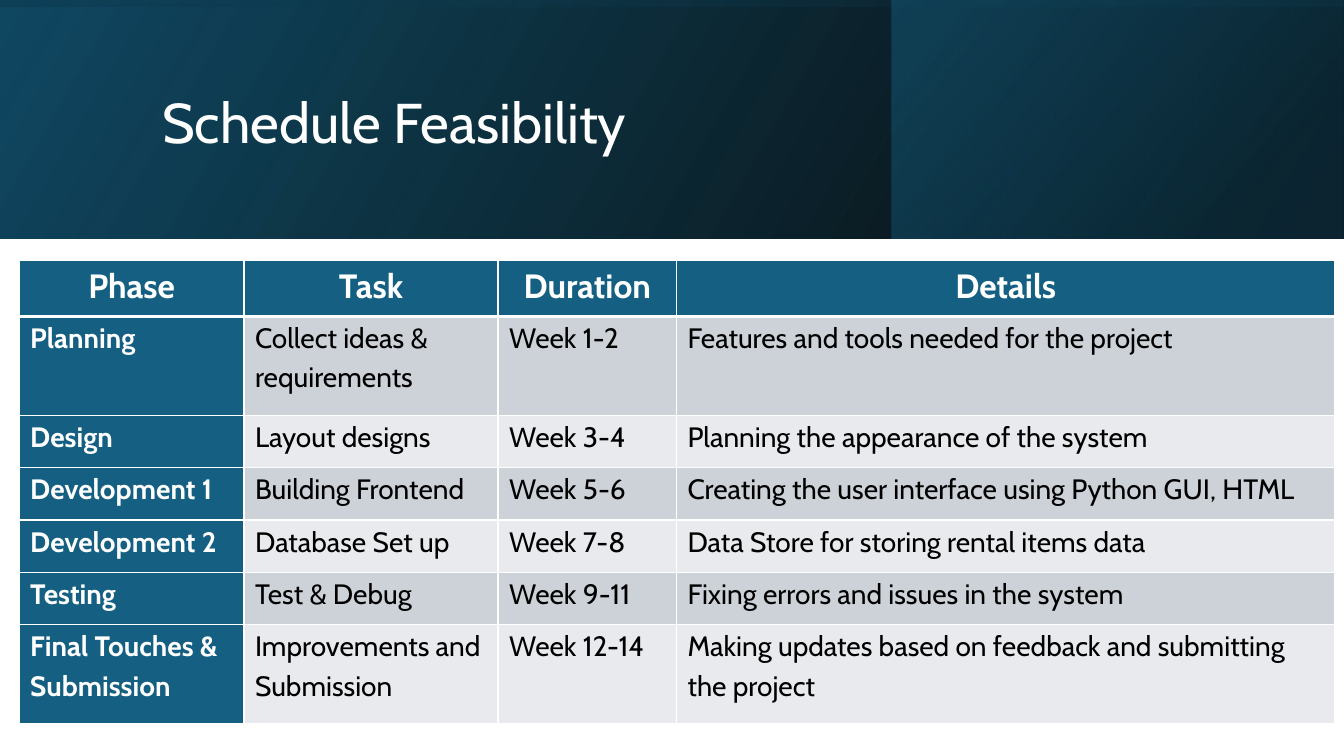
from lxml import etree
from pptx import Presentation
from pptx.dml.color import RGBColor
from pptx.enum.shapes import MSO_SHAPE
from pptx.enum.text import MSO_ANCHOR, PP_ALIGN
from pptx.oxml.ns import qn
from pptx.util import Inches, Pt

RECTANGLE = MSO_SHAPE.RECTANGLE
MIDDLE = MSO_ANCHOR.MIDDLE
LEFT, CENTER = PP_ALIGN.LEFT, PP_ALIGN.CENTER

PAGE_WIDTH, PAGE_HEIGHT = 13.33, 7.5
BANNER_HEIGHT = 2.37
FONT = "Cabin"
WHITE, BLACK, TEAL = "FFFFFF", "000000", "156082"
BANDS = ("CCD2D8", "E8EAED")

COLUMN_WIDTHS = (2.23, 2.52, 1.77, 6.53)
ROW_HEIGHTS = (0.56, 0.98, 0.52, 0.52, 0.52, 0.52, 0.98)
SCHEDULE = (
    ("Phase", "Task", "Duration", "Details"),
    ("Planning", "Collect ideas & requirements", "Week 1-2",
     "Features and tools needed for the project"),
    ("Design", "Layout designs", "Week 3-4",
     "Planning the appearance of the system"),
    ("Development 1", "Building Frontend", "Week 5-6",
     "Creating the user interface using Python GUI, HTML"),
    ("Development 2", "Database Set up", "Week 7-8",
     "Data Store for storing rental items data"),
    ("Testing", "Test & Debug", "Week 9-11",
     "Fixing errors and issues in the system"),
    ("Final Touches & Submission", "Improvements and Submission", "Week 12-14",
     "Making updates based on feedback and submitting the project"),
)


def color(value):
    return RGBColor.from_string(value)


def add_color(parent, value, opacity=100):
    node = etree.SubElement(parent, qn("a:srgbClr"), val=value)
    if opacity < 100:
        etree.SubElement(node, qn("a:alpha"), val=str(opacity * 1000))


def style_text(para, size, value, bold=False, align=LEFT, spacing=1.0):
    para.alignment = align
    para.line_spacing = spacing
    for span in para.runs:
        span.font.name = FONT
        span.font.size = Pt(size)
        span.font.bold = bold
        span.font.color.rgb = color(value)


def add_gradient_box(page, box, stops, angle, rotation=0):
    """Draw a mirrored rectangle; stops are (position, colour, opacity)."""
    shape = page.shapes.add_shape(RECTANGLE, *map(Inches, box))
    shape.shadow.inherit = False
    shape.line.fill.background()
    shape.rotation = rotation
    properties = shape._element.spPr
    properties.find(qn("a:xfrm")).set("flipH", "1")
    gradient = etree.Element(qn("a:gradFill"), rotWithShape="1")
    stop_list = etree.SubElement(gradient, qn("a:gsLst"))
    for position, value, opacity in stops:
        stop = etree.SubElement(stop_list, qn("a:gs"), pos=str(position * 1000))
        add_color(stop, value, opacity)
    etree.SubElement(gradient, qn("a:lin"), ang=str(angle * 60000), scaled="0")
    properties.find(qn("a:prstGeom")).addnext(gradient)


def add_banner(page, left, top, width, height):
    # Layered gradients
    add_gradient_box(page, (left, top, width, height),
                     [(0, BLACK, 96), (100, "104862", 100)], 330)
    side_width = 4.48
    add_gradient_box(page, (left + 8.84, top, side_width, height),
                     [(19, "0B3041", 68), (100, TEAL, 48)], 320)
    # A quarter turn swaps the sides around the banner's centre
    turned = (left + (width - height) / 2, top + (height - width) / 2, height, width)
    add_gradient_box(page, turned, [(23, "104862", 16), (99, BLACK, 45)], 350, 270)

    # Title
    title = page.shapes.add_textbox(Inches(left + 1.51), Inches(top + 0.38),
                                    Inches(10.63), Inches(1.72))
    frame = title.text_frame
    frame.word_wrap = True
    frame.vertical_anchor = MIDDLE
    frame.text = "Schedule Feasibility"
    style_text(frame.paragraphs[0], 40, WHITE, spacing=0.9)


def add_borders(cell, top, bottom):
    properties = cell._tc.get_or_add_tcPr()
    for index, (side, width) in enumerate(
            (("L", 1), ("R", 1), ("T", top), ("B", bottom))):
        line = etree.Element(qn("a:ln" + side), w=str(Pt(width)))
        add_color(etree.SubElement(line, qn("a:solidFill")), WHITE)
        properties.insert(index, line)


def fill_cell(cell, text, row, column):
    header = row == 0
    strong = header or column == 0
    cell.margin_left = cell.margin_right = Inches(0.11)
    cell.margin_top = cell.margin_bottom = 0
    cell.fill.solid()
    cell.fill.fore_color.rgb = color(TEAL if strong else BANDS[(row - 1) % 2])
    add_borders(cell, 3 if row == 1 else 1, 3 if header else 1)
    cell.text_frame.text = text
    para = cell.text_frame.paragraphs[0]
    para.space_after = Pt(8)
    style_text(para, 24 if header else 20, WHITE if strong else BLACK,
               strong, CENTER if header else LEFT, 1.15)


def add_schedule(page, left, top):
    frame = page.shapes.add_table(
        len(ROW_HEIGHTS), len(COLUMN_WIDTHS), Inches(left), Inches(top),
        Inches(sum(COLUMN_WIDTHS)), Inches(sum(ROW_HEIGHTS)))
    table = frame.table
    for column, width in zip(table.columns, COLUMN_WIDTHS):
        column.width = Inches(width)
    for row, height in zip(table.rows, ROW_HEIGHTS):
        row.height = Inches(height)
    for row, texts in enumerate(SCHEDULE):
        for column, text in enumerate(texts):
            fill_cell(table.cell(row, column), text, row, column)


def main():
    deck = Presentation()
    deck.slide_width, deck.slide_height = Inches(PAGE_WIDTH), Inches(PAGE_HEIGHT)
    page = deck.slides.add_slide(deck.slide_layouts[6])
    page.background.fill.solid()
    page.background.fill.fore_color.rgb = color(WHITE)
    add_banner(page, 0, 0, PAGE_WIDTH, BANNER_HEIGHT)
    add_schedule(page, 0.19, 2.58)
    deck.save("out.pptx")


if __name__ == "__main__":
    main()
